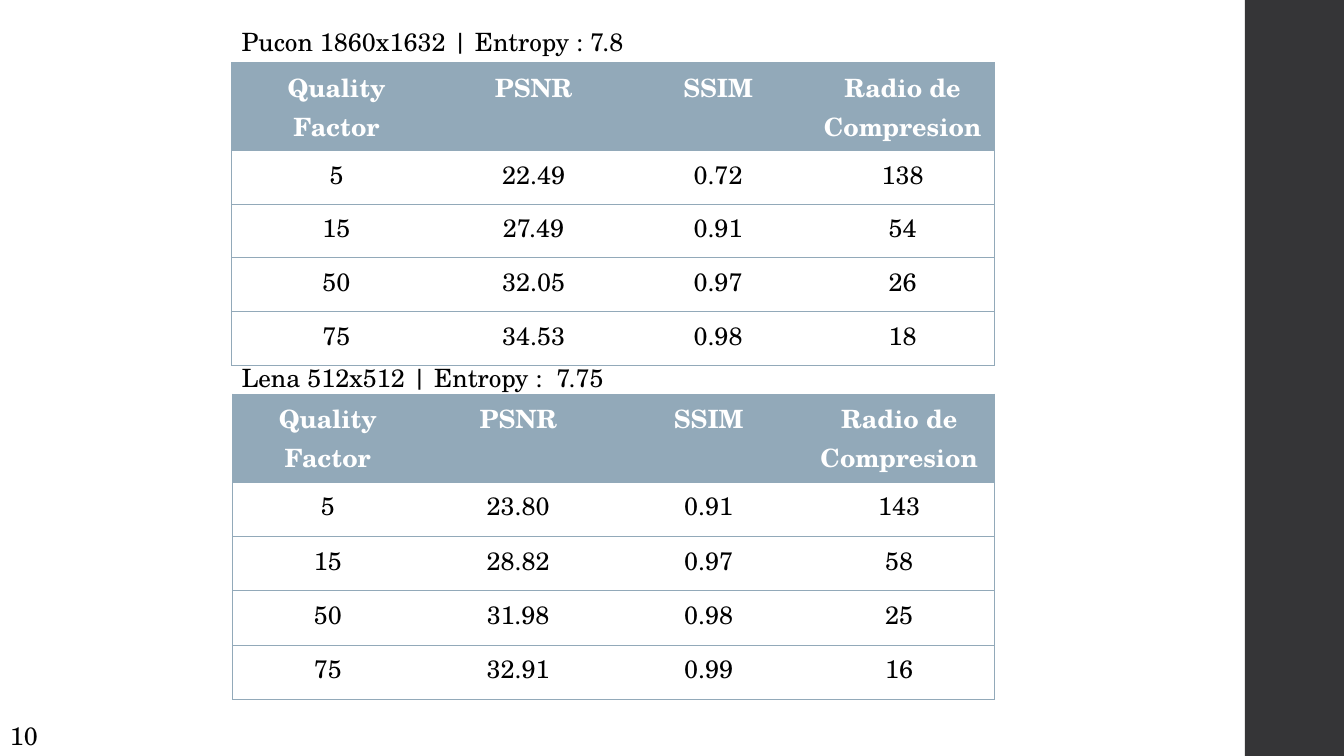
from lxml.etree import SubElement as Sub
from pptx import Presentation
from pptx.dml.color import RGBColor as RGB
from pptx.enum.shapes import MSO_SHAPE as Shape
from pptx.enum.text import PP_ALIGN as Align
from pptx.oxml.ns import qn
from pptx.util import Cm, Pt

FONT = "TeX Gyre Schola"
STEEL = "92A9B9"

PUCON = [
    ["Quality Factor", "PSNR", "SSIM", "Radio de Compresion"],
    ["5", "22.49", "0.72", "138"],
    ["15", "27.49", "0.91", "54"],
    ["50", "32.05", "0.97", "26"],
    ["75", "34.53", "0.98", "18"],
]
LENA = [
    ["Quality\nFactor", "PSNR", "SSIM", "Radio de Compresion"],
    ["5", "23.80", "0.91", "143"],
    ["15", "28.82", "0.97", "58"],
    ["50", "31.98", "0.98", "25"],
    ["75", "32.91", "0.99", "16"],
]


def paint(fill, tone):
    """Fill with a solid hex colour."""
    fill.solid()
    fill.fore_color.rgb = RGB.from_string(tone)


def write(frame, text, size=18, tone="000000", bold=False, align=Align.LEFT):
    """Put formatted text into a frame, one paragraph per line."""
    frame.word_wrap = True
    frame.text = text
    for para in frame.paragraphs:
        para.alignment = align
        font = para.font
        font.name, font.size, font.bold = FONT, Pt(size), bold
        paint(font.fill, tone)


def label(slide, text, left, top, width):
    """Add one line of text at the given place."""
    box = slide.shapes.add_textbox(Cm(left), Cm(top), Cm(width), Cm(1.02))
    write(box.text_frame, text)


def edge(cell, sides):
    """Draw the named sides of a cell and clear the others."""
    props = cell._tc.get_or_add_tcPr()
    for side in "LRTB":
        line = Sub(props, qn(f"a:ln{side}"), w=str(Pt(0.75)))
        if side in sides:
            fill = Sub(line, qn("a:solidFill"))
            Sub(fill, qn("a:srgbClr"), val=STEEL)
        else:
            Sub(line, qn("a:noFill"))


def grid(slide, data, left, top, widths, high):
    """Add a results table with a filled header row."""
    size = len(data), len(widths)
    tall = [2.22] + [high] * (len(data) - 1)
    frame = slide.shapes.add_table(*size, Cm(left), Cm(top), Cm(sum(widths)), Cm(sum(tall)))
    table = frame.table
    table.horz_banding = False
    for col, width in zip(table.columns, widths):
        col.width = Cm(width)
    for r, (row, height) in enumerate(zip(data, tall)):
        table.rows[r].height = Cm(height)
        head = r == 0
        for c, text in enumerate(row):
            cell = table.cell(r, c)
            ends = "L" if c == 0 else "R" if c == len(row) - 1 else ""
            edge(cell, "TB" + ends)
            if head:
                paint(cell.fill, STEEL)
            else:
                cell.fill.background()
            write(cell.text_frame, text, tone="FFFFFF" if head else "000000",
                  bold=head, align=Align.CENTER)


def band(slide, left, width, height):
    """Add the dark band on the right."""
    bar = slide.shapes.add_shape(Shape.RECTANGLE, Cm(left), 0, Cm(width), Cm(height))
    bar.shadow.inherit = False
    paint(bar.fill, "353537")
    bar.line.fill.background()


def main():
    """Build and save the slide."""
    deck = Presentation()
    deck.slide_width, deck.slide_height = Cm(33.87), Cm(19.05)
    slide = deck.slides.add_slide(deck.slide_layouts[6])
    band(slide, 31.37, 2.5, 19.05)
    grid(slide, PUCON, 5.84, 1.58, [5.28] + [4.65] * 3, 1.35)
    grid(slide, LENA, 5.86, 9.93, [4.8] * 4, 1.37)
    label(slide, "Lena 512x512 | Entropy :  7.75", 5.84, 9.01, 19.2)
    label(slide, "Pucon 1860x1632 | Entropy : 7.8", 5.84, 0.54, 19.2)
    label(slide, "10", 0, 18.03, 1.22)
    deck.save("out.pptx")


if __name__ == "__main__":
    main()
